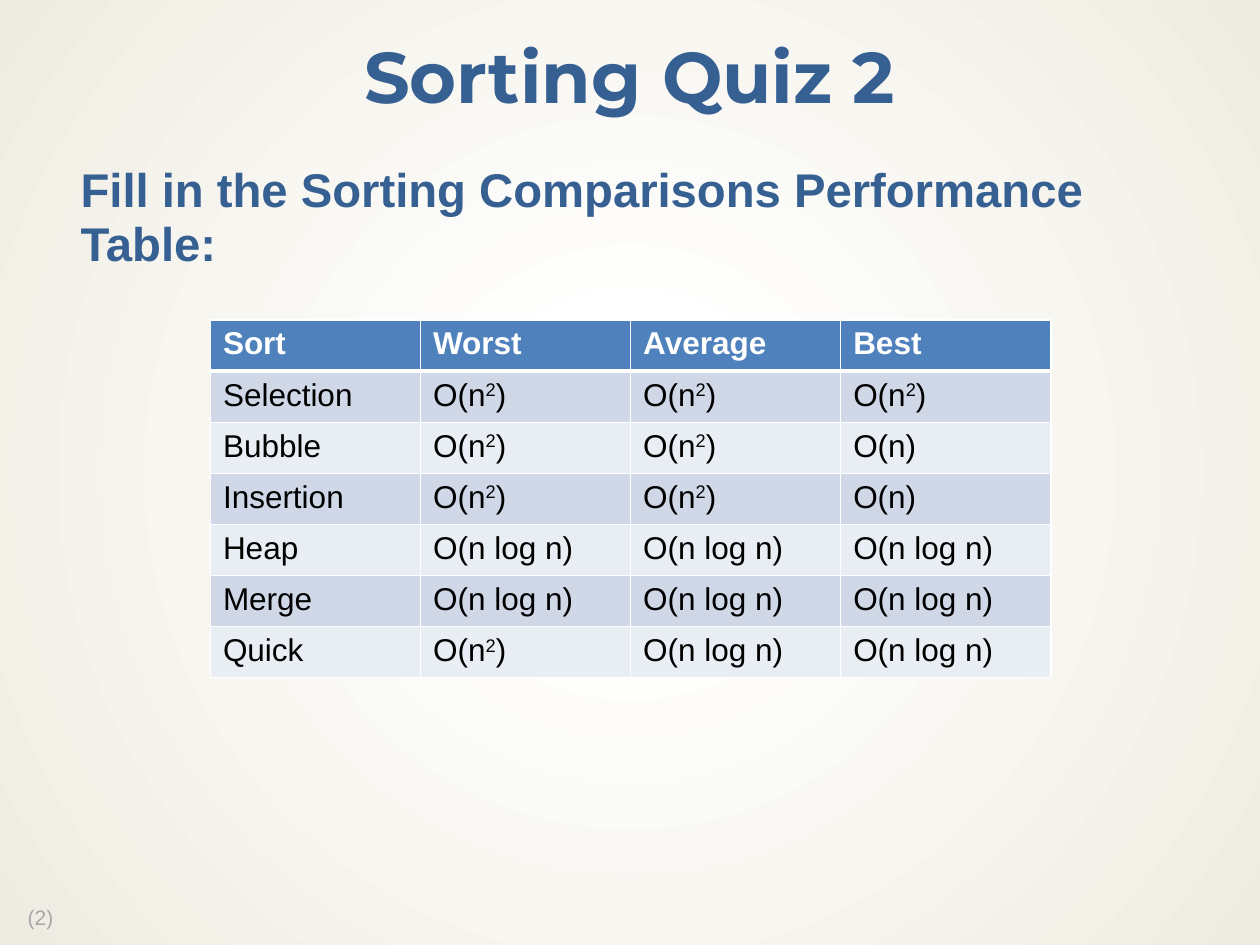
from typing import NamedTuple

from lxml.etree import SubElement
from pptx import Presentation
from pptx.dml.color import RGBColor
from pptx.enum.text import MSO_ANCHOR, PP_ALIGN
from pptx.oxml.ns import qn
from pptx.util import Inches, Pt

WHITE = RGBColor(0xFF, 0xFF, 0xFF)
BLACK = RGBColor(0x00, 0x00, 0x00)
CREAM = RGBColor(0xEE, 0xEC, 0xE1)
NAVY = RGBColor(0x37, 0x60, 0x92)
GRAY = RGBColor(0xA6, 0xA6, 0xA6)
HEADER_BLUE = RGBColor(0x4F, 0x81, 0xBD)
BANDS = (RGBColor(0xE9, 0xED, 0xF4), RGBColor(0xD0, 0xD8, 0xE8))

SQUARE, LINEAR, LOG = "O(n²)", "O(n)", "O(n log n)"


class Sort(NamedTuple):
    name: str
    worst: str
    average: str
    best: str


ROWS = [
    Sort("Sort", "Worst", "Average", "Best"),
    Sort("Selection", SQUARE, SQUARE, SQUARE),
    Sort("Bubble", SQUARE, SQUARE, LINEAR),
    Sort("Insertion", SQUARE, SQUARE, LINEAR),
    Sort("Heap", LOG, LOG, LOG),
    Sort("Merge", LOG, LOG, LOG),
    Sort("Quick", SQUARE, LOG, LOG),
]


def write(tf, text: str, *, size: float, color: RGBColor, font: str = "Arial",
          bold: bool = False, align=PP_ALIGN.LEFT, spacing: float = 1.0) -> None:
    """Fill a text frame; the sign ² becomes a raised 2."""
    p = tf.paragraphs[0]
    p.alignment, p.line_spacing = align, spacing
    for piece in filter(None, text.partition("²")):
        r = p.add_run()
        r.text = "2" if piece == "²" else piece
        r.font.name, r.font.size, r.font.bold = font, Pt(size), bold
        r.font.color.rgb = color
        if piece == "²":
            r._r.get_or_add_rPr().set("baseline", "30000")


def add_text(slide, text: str, box: tuple, inset: tuple, *, wrap: bool = True,
             anchor=MSO_ANCHOR.TOP, **style) -> None:
    """Add a text box; box and inset (left, top) are in inches."""
    tf = slide.shapes.add_textbox(*map(Inches, box)).text_frame
    tf.word_wrap, tf.vertical_anchor = wrap, anchor
    tf.margin_left, tf.margin_top = map(Inches, inset)
    tf.margin_right, tf.margin_bottom = Inches(0.12), Inches(inset[1])
    write(tf, text, **style)


def set_borders(cell, **widths: float) -> None:
    """Draw white borders, given in the order L, R, T, B."""
    tc_pr = cell._tc.get_or_add_tcPr()
    for side, width in widths.items():
        ln = SubElement(tc_pr, qn(f"a:ln{side}"), w=str(Pt(width)))
        fill = SubElement(ln, qn("a:solidFill"))
        SubElement(fill, qn("a:srgbClr"), val=str(WHITE))


def set_background(slide) -> None:
    """Radial gradient from white in the centre to cream."""
    fill = slide.background.fill
    fill.gradient()
    for stop, color, position in zip(fill.gradient_stops, (WHITE, CREAM), (0.18, 1)):
        stop.color.rgb, stop.position = color, position
    grad = slide.element.find(".//" + qn("a:gradFill"))
    grad.remove(grad.find(qn("a:lin")))
    circle = SubElement(grad, qn("a:path"), path="circle")
    SubElement(circle, qn("a:fillToRect"), l="50000", t="50000", r="50000", b="50000")


def add_sort_table(slide) -> None:
    frame = slide.shapes.add_table(len(ROWS), len(Sort._fields), Inches(1.67),
                                   Inches(2.54), Inches(6.67), Inches(2.84))
    table = frame.table
    table.horz_banding = False
    for i, row in enumerate(ROWS):
        header = i == 0
        for j, text in enumerate(row):
            cell = table.cell(i, j)
            set_borders(cell, L=1, R=1, T=3 if i == 1 else 1, B=3 if header else 1)
            cell.fill.solid()
            cell.fill.fore_color.rgb = HEADER_BLUE if header else BANDS[i % 2]
            write(cell.text_frame, text, size=18, bold=header,
                  color=WHITE if header else BLACK)


def main() -> None:
    prs = Presentation()
    prs.slide_width, prs.slide_height = Inches(10), Inches(7.5)
    slide = prs.slides.add_slide(prs.slide_layouts[6])
    set_background(slide)

    # Page number
    add_text(slide, "(2)", (0.07, 7.15, 0.56, 0.28), (0.15, 0.05), wrap=False,
             size=12, color=GRAY, spacing=0.9)
    # Title and task
    add_text(slide, "Sorting Quiz 2", (0, 0.17, 10, 0.94), (0.12, 0.06),
             anchor=MSO_ANCHOR.MIDDLE, size=41, color=NAVY, font="Montserrat",
             bold=True, align=PP_ALIGN.CENTER, spacing=0.9)
    add_text(slide, "Fill in the Sorting Comparisons Performance Table:",
             (0.38, 1.25, 9.25, 5.65), (0.26, 0.06),
             size=27, color=NAVY, bold=True, spacing=0.94)
    # Answers
    add_sort_table(slide)

    prs.save("out.pptx")


if __name__ == "__main__":
    main()
